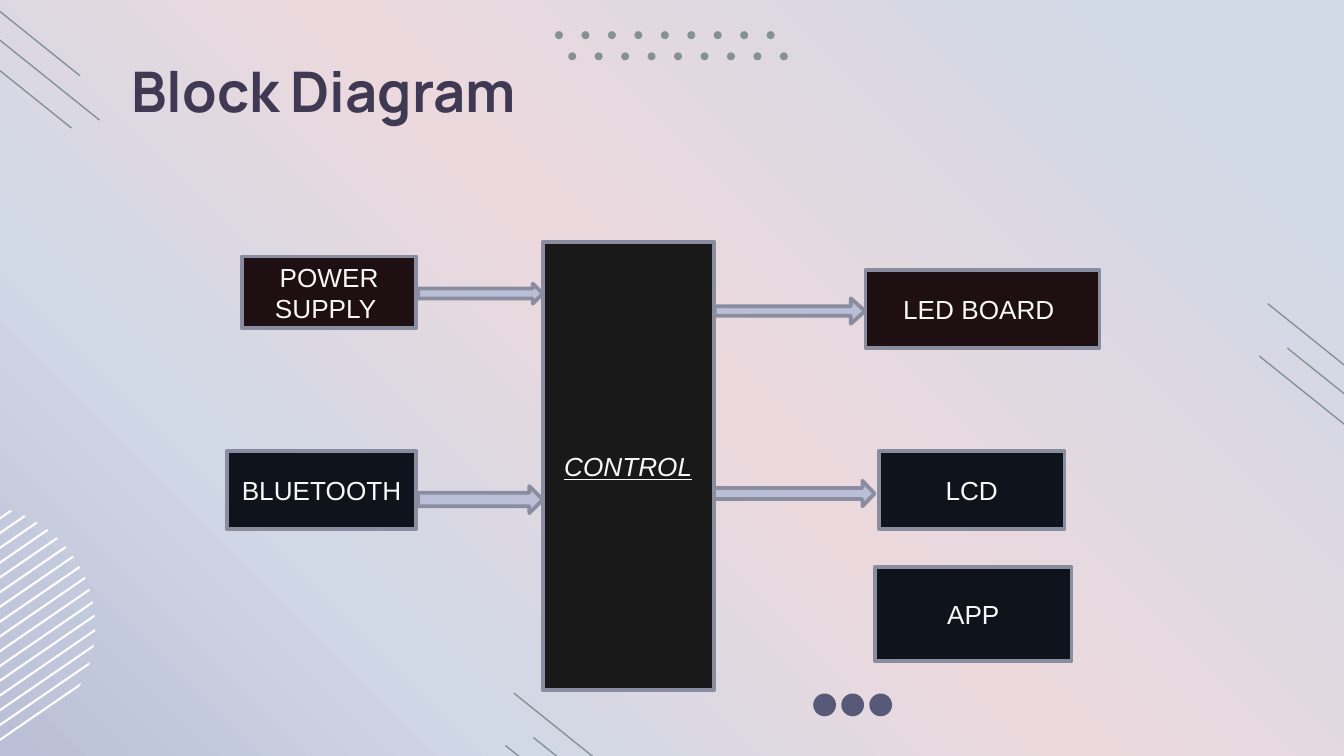
from math import cos, radians, sin, sqrt

from lxml.etree import SubElement
from pptx import Presentation
from pptx.dml.color import RGBColor
from pptx.enum.shapes import MSO_CONNECTOR, MSO_SHAPE
from pptx.enum.text import MSO_ANCHOR as Anchor, PP_ALIGN as Align
from pptx.oxml.ns import qn
from pptx.util import Cm, Pt

# All lengths are in centimetres.
BACKGROUND = [(0, "D1D8E6"), (11, "D1D8E6"), (49, "ECD9DD"), (75, "D1D8E6"), (100, "BABFD7")]
TITLE = "Block Diagram"
BORDER, ARROW, TEXT = "8A8D9F", "BABFD7", "F8F8F8"
WARM, COOL, DARK = "1E0F12", "0F141C", "191919"
SAGE, SLATE, WHITE, PLUM = "859294", "575979", "FFFFFF", "403953"

# place (left, top, width, height), adjustments
ARROWS = [
    ((7.9, 5.36, 2.36, 0.38), (0.5, 0.5)),
    ((7.9, 9.19, 2.36, 0.51), (0.5, 0.5)),
    ((13.51, 5.64, 2.84, 0.48), (0.37, 0.56)),
    ((13.46, 9.09, 3.07, 0.48), (0.44, 0.48)),
]
# label, place, fill, emphasised
BLOCKS = [
    ("POWER SUPPLY ", (4.57, 4.85, 3.3, 1.35), WARM, False),
    ("LED BOARD ", (16.36, 5.11, 4.42, 1.47), WARM, False),
    ("APP", (16.54, 10.72, 3.71, 1.78), COOL, False),
    ("LCD", (16.61, 8.53, 3.51, 1.47), COOL, False),
    ("CONTROL", (10.26, 4.57, 3.23, 8.48), DARK, True),
    ("BLUETOOTH", (4.29, 8.53, 3.58, 1.47), COOL, False),
]
# left, top, size, pitch, count, colour
DOT_ROWS = [
    (15.37, 13.11, 0.43, 0.53, 3, SLATE),
    (10.74, 0.99, 0.15, 0.5, 9, SAGE),
    (10.49, 0.59, 0.15, 0.5, 9, SAGE),
]
LINE_GROUPS = [(-0.15, 0.64), (10.08, 13.94), (24.33, 6.58)]
LINE_OFFSETS = [(0, 0), (-0.53, 0.15), (-0.37, -0.84)]
LINE_RUN, LINE_RISE = 2.03, 1.63
DISC_X, DISC_Y, DISC_RADIUS = -0.5, 11.84, 2.3
STRIPES, STRIPE_START, STRIPE_STEP, STRIPE_WIDTH = 16, -1.42, 0.23, 0.04
STRIPE_ANGLE = radians(34.5)


def rgb(value):
    return RGBColor.from_string(value)


def paint(shape, fill, line=None):
    shape.shadow.inherit = False
    shape.fill.solid()
    shape.fill.fore_color.rgb = rgb(fill)
    if line:
        shape.line.color.rgb = rgb(line)
        shape.line.width = Pt(2)
    else:
        shape.line.fill.background()


def add_preset(kind, place, fill, line=None):
    shape = slide.shapes.add_shape(kind, *map(Cm, place))
    paint(shape, fill, line)
    return shape


def add_span(para, text, font, size, colour):
    para.alignment = Align.CENTER
    span = para.add_run()
    span.text = text
    span.font.name = font
    span.font.size = Pt(size)
    span.font.color.rgb = rgb(colour)
    return span


def set_background():
    fill = slide.background.fill
    fill.gradient()
    fill.gradient_angle = 225
    stops = next(slide.element.iter(qn("a:gsLst")))
    stops.clear()
    for position, colour in BACKGROUND:
        stop = SubElement(stops, qn("a:gs"), pos=str(position * 1000))
        SubElement(stop, qn("a:srgbClr"), val=colour)


def chord(offset):
    """Ends of the slanted disc chord at this distance from the disc centre."""
    half = sqrt(DISC_RADIUS ** 2 - offset ** 2)
    x = DISC_X + offset * sin(STRIPE_ANGLE)
    y = DISC_Y + offset * cos(STRIPE_ANGLE)
    run, rise = half * cos(STRIPE_ANGLE), half * sin(STRIPE_ANGLE)
    return [(Cm(x + run), Cm(y - rise)), (Cm(x - run), Cm(y + rise))]


def add_striped_disc():
    for index in range(STRIPES):
        offset = STRIPE_START + index * STRIPE_STEP
        points = chord(offset) + chord(offset + STRIPE_WIDTH)[::-1]
        builder = slide.shapes.build_freeform(*points[0])
        builder.add_line_segments(points[1:])
        paint(builder.convert_to_shape(), WHITE)


def add_dots():
    for left, top, size, pitch, count, colour in DOT_ROWS:
        for index in range(count):
            place = (left + index * pitch, top, size, size)
            add_preset(MSO_SHAPE.OVAL, place, colour)


def add_slanted_lines():
    for left, top in LINE_GROUPS:
        for dx, dy in LINE_OFFSETS:
            x, y = left + dx, top + dy
            ends = (x, y, x + LINE_RUN, y + LINE_RISE)
            line = slide.shapes.add_connector(MSO_CONNECTOR.STRAIGHT, *map(Cm, ends))
            line.line.color.rgb = rgb(SAGE)
            line.line.width = Pt(0.75)
            SubElement(line.element.spPr, qn("a:effectLst"))


def add_title():
    title = slide.shapes.title
    title.left, title.top, title.width, title.height = map(Cm, (0.79, 0.81, 10.67, 1.42))
    frame = title.text_frame
    frame.margin_left = frame.margin_right = Cm(0.25)
    frame.margin_top = frame.margin_bottom = Cm(0.25)
    frame.vertical_anchor = Anchor.TOP
    add_span(frame.paragraphs[0], TITLE, "Manrope", 30, PLUM).font.bold = True


def add_diagram():
    for place, adjustments in ARROWS:
        arrow = add_preset(MSO_SHAPE.RIGHT_ARROW, place, ARROW, BORDER)
        for index, value in enumerate(adjustments):
            arrow.adjustments[index] = value
    for label, place, fill, emphasised in BLOCKS:
        box = add_preset(MSO_SHAPE.RECTANGLE, place, fill, BORDER)
        box.text_frame.word_wrap = True
        box.text_frame.vertical_anchor = Anchor.MIDDLE
        span = add_span(box.text_frame.paragraphs[0], label, "Arial", 14, TEXT)
        if emphasised:
            span.font.italic = span.font.underline = True


deck = Presentation()
deck.slide_width, deck.slide_height = Cm(25.4), Cm(14.29)
slide = deck.slides.add_slide(deck.slide_layouts[5])
set_background()
add_striped_disc()
add_dots()
add_slanted_lines()
add_title()
add_diagram()
deck.save("out.pptx")
